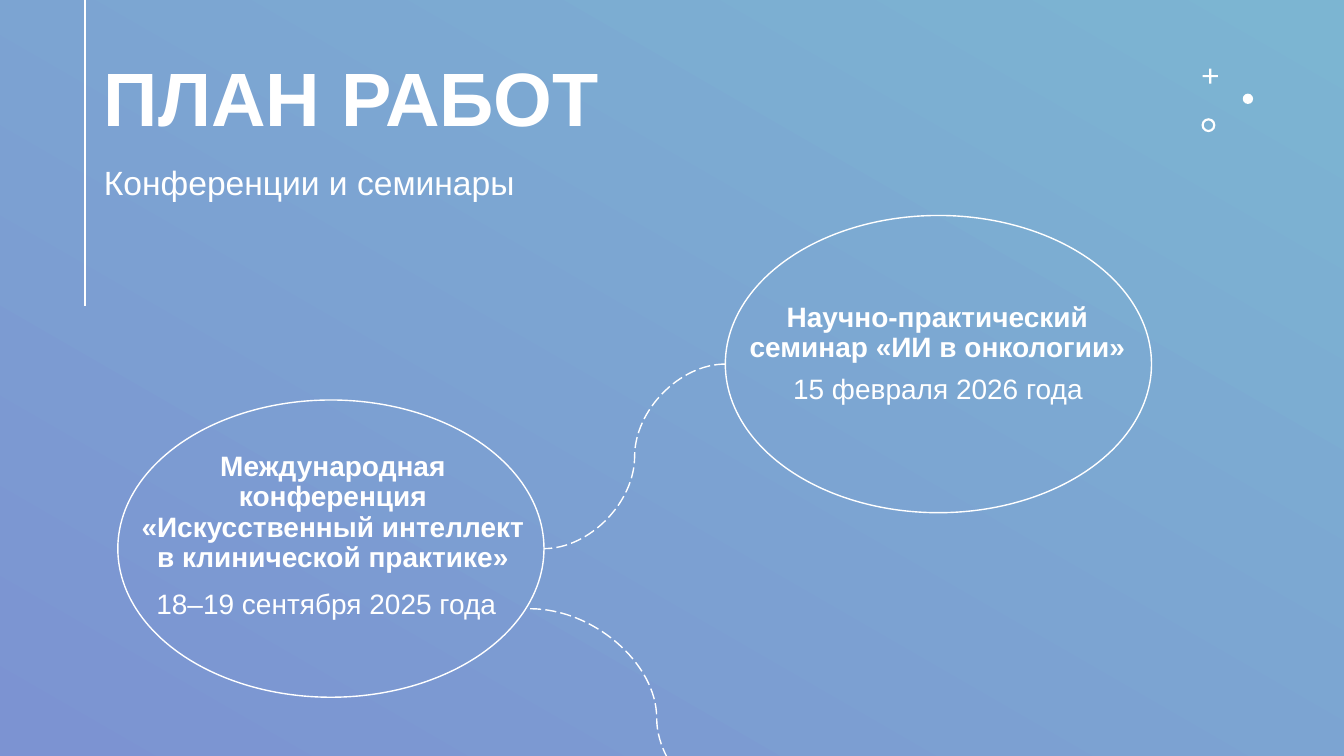
from dataclasses import dataclass

from lxml import etree
from pptx import Presentation
from pptx import util as u
from pptx.dml.color import RGBColor
from pptx.enum import dml, shapes, text
from pptx.oxml.ns import qn

Cm, Pt = u.Cm, u.Pt
ALIGN, ANCHOR = text.PP_ALIGN, text.MSO_ANCHOR
SHAPE, LINK = shapes.MSO_SHAPE, shapes.MSO_CONNECTOR


@dataclass(frozen=True)
class Theme:
    font: str = "Arial"
    white: RGBColor = RGBColor(0xFF, 0xFF, 0xFF)
    bg_start: RGBColor = RGBColor(0x7C, 0x93, 0xD2)
    bg_end: RGBColor = RGBColor(0x7C, 0xB5, 0xD2)
    bg_angle: int = 60
    title: int = 54
    subtitle: int = 24
    body: int = 20
    rule: int = 2
    outline: int = 1


THEME = Theme()


def add_text(s, box, words, size, bold=False, align=ALIGN.JUSTIFY,
             anchor=ANCHOR.BOTTOM, top=0, spacing=0.9, before=10):
    tf = s.shapes.add_textbox(*map(Cm, box)).text_frame
    tf.word_wrap = True
    tf.vertical_anchor = anchor
    tf.margin_left = tf.margin_right = tf.margin_bottom = 0
    tf.margin_top = Cm(top)
    tf.text = words
    p = tf.paragraphs[0]
    p.alignment, p.line_spacing, p.space_before = align, spacing, Pt(before)
    f = p.runs[0].font
    f.name, f.size, f.bold = THEME.font, Pt(size), bold
    f.color.rgb = THEME.white


def add_line(s, kind, start, end, width, dash=None):
    c = s.shapes.add_connector(kind, *map(Cm, (*start, *end)))
    c.line.color.rgb = THEME.white
    c.line.width = Pt(width)
    if dash:
        c.line.dash_style = dash
    etree.SubElement(c.element.spPr, qn("a:effectLst"))


def add_background(s):
    fill = s.background.fill
    fill.gradient()
    fill.gradient_angle = THEME.bg_angle
    for stop, color in zip(fill.gradient_stops, (THEME.bg_start, THEME.bg_end)):
        stop.color.rgb = color


def add_ornament(s, box):
    """Plus, dot and ring in the top right corner."""
    x, y = box[:2]
    marks = ((SHAPE.OVAL, 1.04, 0.63, 0.26, None),
             (SHAPE.CROSS, 0.03, 0, 0.38, 0.43),
             (SHAPE.DONUT, 0, 1.25, 0.35, 0.16))
    for kind, dx, dy, size, adjust in marks:
        sp = s.shapes.add_shape(kind, Cm(x + dx), Cm(y + dy), Cm(size), Cm(size))
        sp.shadow.inherit = False
        sp.fill.solid()
        sp.fill.fore_color.rgb = THEME.white
        sp.line.fill.background()
        if adjust:
            sp.adjustments[0] = adjust


def add_header(s, box):
    """Vertical rule with the title and subtitle beside it."""
    x, y, w, h = box
    add_line(s, LINK.STRAIGHT, (x, y), (x, y + h), THEME.rule)
    add_text(s, (x + 0.48, y + 0.91, w, 2.67), "ПЛАН РАБОТ", THEME.title, True,
             ALIGN.LEFT, ANCHOR.TOP, 0.76, Pt(THEME.title), 0)
    add_text(s, (x + 0.48, y + 3.91, w, 1.19), "Конференции и семинары",
             THEME.subtitle)


def add_event(s, box, name, name_area, date, date_area, date_align):
    """Ellipse with an event name and date; areas are offsets in the box."""
    x, y = box[:2]
    sp = s.shapes.add_shape(SHAPE.OVAL, *map(Cm, box))
    sp.shadow.inherit = False
    sp.fill.background()
    sp.line.color.rgb = THEME.white
    sp.line.width = Pt(THEME.outline)
    for words, (dx, dy, w, h), bold, align in (
            (name, name_area, True, ALIGN.CENTER),
            (date, date_area, False, date_align)):
        add_text(s, (x + dx, y + dy, w, h), words, THEME.body, bold, align)


def add_links(s, conference, seminar):
    """Dashed curves from the conference to the seminar and onwards."""
    x, y, w, h = conference
    dash = dml.MSO_LINE.LONG_DASH
    add_line(s, LINK.CURVE, (seminar[0], seminar[1] + seminar[3] / 2),
             (x + w, y + h / 2), THEME.outline, dash)
    add_line(s, LINK.CURVE, (x + 10.39, y + 5.26), (x + 16.77, y + 10.77),
             THEME.outline, dash)


def main():
    prs = Presentation()
    prs.slide_width, prs.slide_height = Cm(33.87), Cm(19.05)
    s = prs.slides.add_slide(prs.slide_layouts[6])
    conference = (2.97, 10.08, 10.74, 7.49)
    seminar = (18.28, 5.43, 10.74, 7.49)

    add_background(s)
    add_ornament(s, (30.28, 1.73))
    add_header(s, (2.14, 0, 29, 7.72))
    add_event(s, conference,
              "Международная конференция «Искусственный интеллект "
              "в клинической практике»", (0.48, 1.12, 9.88, 3.25),
              "18–19 сентября 2025 года", (0.97, 4.37, 8.94, 1.19),
              ALIGN.JUSTIFY)
    add_event(s, seminar,
              "Научно-практический семинар «ИИ в онкологии»",
              (0.43, 2.06, 9.83, 1.68),
              "15 февраля 2026 года", (1.04, 2.67, 8.64, 2.13),
              ALIGN.CENTER)
    add_links(s, conference, seminar)
    prs.save("out.pptx")


if __name__ == "__main__":
    main()
